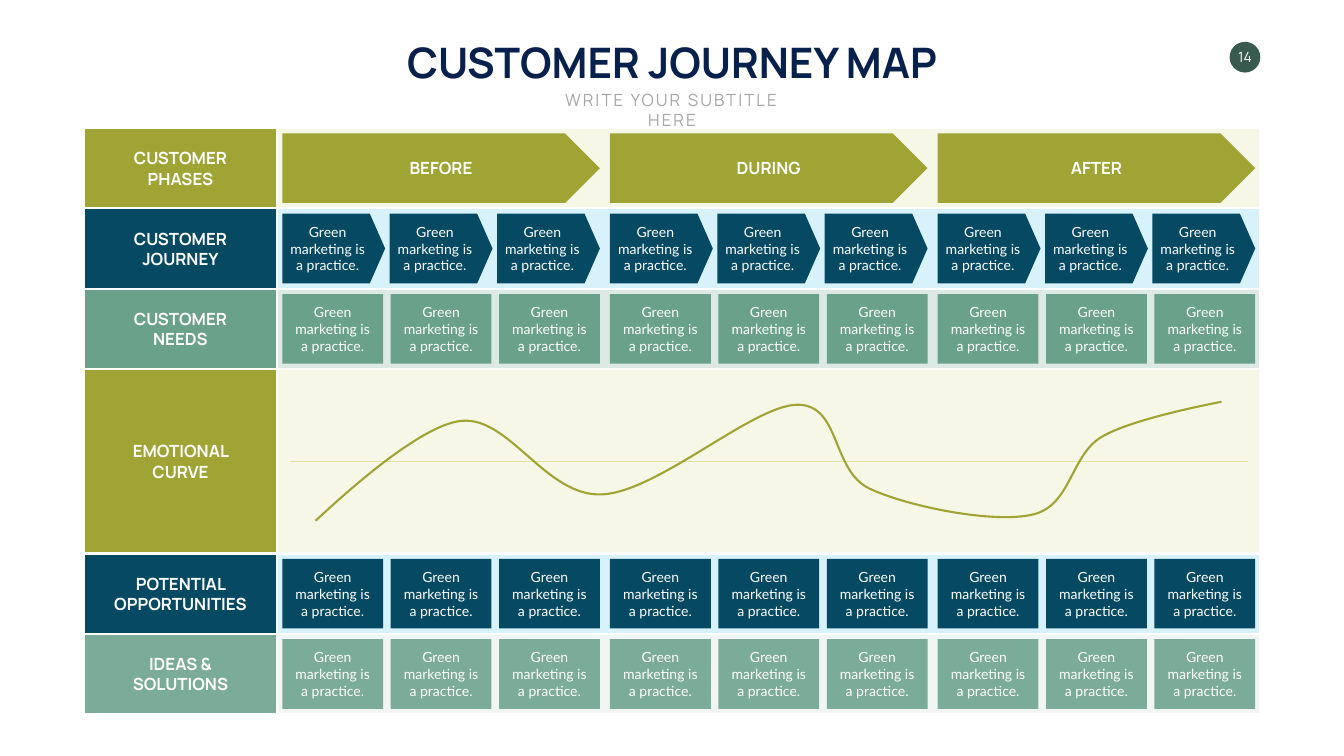
import dataclasses

import pptx
import pptx.dml.color
import pptx.enum.shapes
import pptx.enum.text
import pptx.oxml
import pptx.oxml.ns
import pptx.util

Inches = pptx.util.Inches
Pt = pptx.util.Pt
RGB = pptx.dml.color.RGBColor.from_string
Shape = pptx.enum.shapes.MSO_SHAPE
Anchor = pptx.enum.text.MSO_ANCHOR
qn = pptx.oxml.ns.qn


@dataclasses.dataclass(frozen=True)
class Theme:
    heading: str = "Manrope"
    body: str = "Lato"
    title_size: int = 60
    label_size: int = 24
    cell_size: int = 20
    white: str = "FFFFFF"
    navy: str = "08204C"
    grey: str = "A6A6A6"
    badge: str = "395A4E"
    olive: str = "A0A434"
    cream: str = "F0F1D2"
    blue: str = "064963"
    sky: str = "B3E6FA"
    green: str = "69A18B"
    sage: str = "7BAB99"
    mist: str = "E5EEEB"
    axis: str = "E1E3A5"


theme = Theme()


def write(shape, text, font=theme.heading, size=theme.label_size, color=theme.white,
          bold=False, spacing=0, anchor=Anchor.MIDDLE, margins=(0.1, 0.1), wrap=True):
    """Put centred text in a shape; margins are left and right, in inches."""
    frame = shape.text_frame
    frame.text = text
    frame.auto_size = pptx.enum.text.MSO_AUTO_SIZE.NONE
    frame.word_wrap = wrap
    frame.vertical_anchor = anchor
    frame.margin_left, frame.margin_right = map(Inches, margins)
    paragraph = frame.paragraphs[0]
    paragraph.alignment = pptx.enum.text.PP_ALIGN.CENTER
    paragraph.space_before = Pt(0)
    run = paragraph.runs[0]
    run.font.name, run.font.size, run.font.bold = font, Pt(size), bold
    run.font.color.rgb = RGB(color)
    if spacing:
        run.font._element.set("spc", str(spacing * 100))


def add_block(kind, left, top, width, height, fill, opacity=100, border=0):
    block = slide.shapes.add_shape(kind, *map(Inches, (left, top, width, height)))
    block.shadow.inherit = False
    block.fill.solid()
    block.fill.fore_color.rgb = RGB(fill)
    if opacity < 100:
        color = block.fill._xPr.find(".//" + qn("a:srgbClr"))
        pptx.oxml.ns  # noqa: B018
        alpha = color.makeelement(qn("a:alpha"), {"val": str(opacity * 1000)})
        color.append(alpha)
    if border:
        block.line.color.rgb = RGB(theme.white)
        block.line.width = Pt(border)
    else:
        block.line.fill.background()
    return block


WIDTH, HEIGHT = 26.66, 15
prs = pptx.Presentation()
prs.slide_width, prs.slide_height = Inches(WIDTH), Inches(HEIGHT)
slide = prs.slides.add_slide(prs.slide_layouts[0])

# Heading
title, subtitle = slide.placeholders
for heading, top, width, height in ((title, 0.67, 11.11, 1.11), (subtitle, 1.72, 5.43, 0.5)):
    heading.left, heading.top = Inches((WIDTH - width) / 2), Inches(top)
    heading.width, heading.height = Inches(width), Inches(height)
write(title, "CUSTOMER JOURNEY MAP", size=theme.title_size, color=theme.navy,
      bold=True, anchor=Anchor.TOP, wrap=False)
write(subtitle, "WRITE YOUR SUBTITLE HERE", color=theme.grey, spacing=3, anchor=Anchor.TOP)

page_badge = add_block(Shape.OVAL, 24.39, 0.83, 0.61, 0.61, theme.badge)
write(page_badge, "14", size=theme.cell_size, margins=(0, 0), wrap=False)

# Grid: a label column and three phases of three steps each
LABEL_LEFT, BAND_LEFT, GRID_RIGHT = 1.66, 5.5, 25
GRID_TOP, GRID_BOTTOM, CURVE_HEIGHT = 2.54, 14.17, 3.66
ROW_HEIGHT = (GRID_BOTTOM - GRID_TOP - CURVE_HEIGHT) / 5
PHASE_STEP = (GRID_RIGHT - BAND_LEFT) / 3
GAP = 0.1
PHASE_WIDTH = PHASE_STEP - 2 * GAP
CELL_HEIGHT = 1.38

phases = ["BEFORE", "DURING", "AFTER"]
steps = ["Green marketing is a practice."] * 3
# label, label fill, band fill, band opacity, cell kind, cell width
rows = [
    ("CUSTOMER PHASES", theme.olive, theme.cream, 50, "phase", PHASE_WIDTH),
    ("CUSTOMER JOURNEY", theme.blue, theme.sky, 50, "arrow", 2.04),
    ("CUSTOMER NEEDS", theme.green, theme.sage, 25, "box", 2),
    ("EMOTIONAL CURVE", theme.olive, theme.cream, 50, None, 0),
    ("POTENTIAL OPPORTUNITIES", theme.blue, theme.sky, 50, "box", 2),
    ("IDEAS & SOLUTIONS", theme.sage, theme.mist, 50, "box", 2),
]
# The right margins offset the arrow point, so text stays clear of it
cell_margins = {"phase": (0.44, 0.1), "arrow": (0.15, 0.24), "box": (0.25, 0.25)}

top = GRID_TOP
for label, fill, band_fill, opacity, kind, cell_width in rows:
    height = ROW_HEIGHT if kind else CURVE_HEIGHT
    add_block(Shape.RECTANGLE, BAND_LEFT, top, GRID_RIGHT - BAND_LEFT, height,
              band_fill, opacity, border=3)
    row_label = add_block(Shape.RECTANGLE, LABEL_LEFT, top, BAND_LEFT - LABEL_LEFT, height,
                          fill, border=3)
    write(row_label, label, bold=True, margins=(0.48, 0.48))

    for column, phase in enumerate(phases if kind else []):
        cells = [phase] if kind == "phase" else steps
        for index, text in enumerate(cells):
            left = BAND_LEFT + GAP + column * PHASE_STEP + index * (PHASE_WIDTH - cell_width) / 2
            shape_kind = Shape.RECTANGLE if kind == "box" else Shape.PENTAGON
            cell = add_block(shape_kind, left, top + (height - CELL_HEIGHT) / 2,
                             cell_width, CELL_HEIGHT, fill)
            if kind == "phase":
                write(cell, text, bold=True, margins=cell_margins[kind])
            else:
                write(cell, text, font=theme.body, size=theme.cell_size,
                      margins=cell_margins[kind])
            if kind == "arrow":
                cell.adjustments[0] = 0.22
    top += height

# Emotional curve over its neutral line
neutral_y = GRID_TOP + 3 * ROW_HEIGHT + CURVE_HEIGHT / 2
neutral = slide.shapes.add_connector(
    pptx.enum.shapes.MSO_CONNECTOR.STRAIGHT,
    *map(Inches, (BAND_LEFT + 0.25, neutral_y, GRID_RIGHT - 0.25, neutral_y)))
neutral.line.color.rgb = RGB(theme.axis)
neutral.line.width = Pt(1)
neutral_props = neutral._element.spPr
neutral_props.append(neutral_props.makeelement(qn("a:effectLst"), {}))

mood_start = (6.26, 10.33)
# Each line: two control points and the end of one Bezier segment
mood_segments = [
    (6.27, 10.34), (8.21, 8.43), (9.16, 8.35),
    (10.11, 8.26), (10.83, 9.86), (11.94, 9.81),
    (13.05, 9.76), (14.92, 8.05), (15.81, 8.03),
    (16.69, 8.02), (16.48, 9.34), (17.26, 9.7),
    (18.04, 10.06), (19.72, 10.39), (20.48, 10.21),
    (21.25, 10.04), (21.23, 9.04), (21.85, 8.67),
    (22.48, 8.29), (24.26, 7.97), (24.23, 7.97),
]
builder = slide.shapes.build_freeform(*mood_start, scale=Inches(1) / 1.0)
builder = slide.shapes.build_freeform(*map(Inches, mood_start))
builder.add_line_segments([tuple(map(Inches, point)) for point in mood_segments], close=False)
mood = builder.convert_to_shape()
mood.shadow.inherit = False
mood.fill.background()
mood.line.color.rgb = RGB(theme.olive)
mood.line.width = Pt(3)

# Join every three straight segments into one cubic curve
lines = list(mood._element.iter(qn("a:lnTo")))
for first in range(0, len(lines), 3):
    curve = lines[first].makeelement(qn("a:cubicBezTo"), {})
    lines[first].addprevious(curve)
    for line in lines[first:first + 3]:
        curve.append(line[0])
        line.getparent().remove(line)

prs.save("out.pptx")
